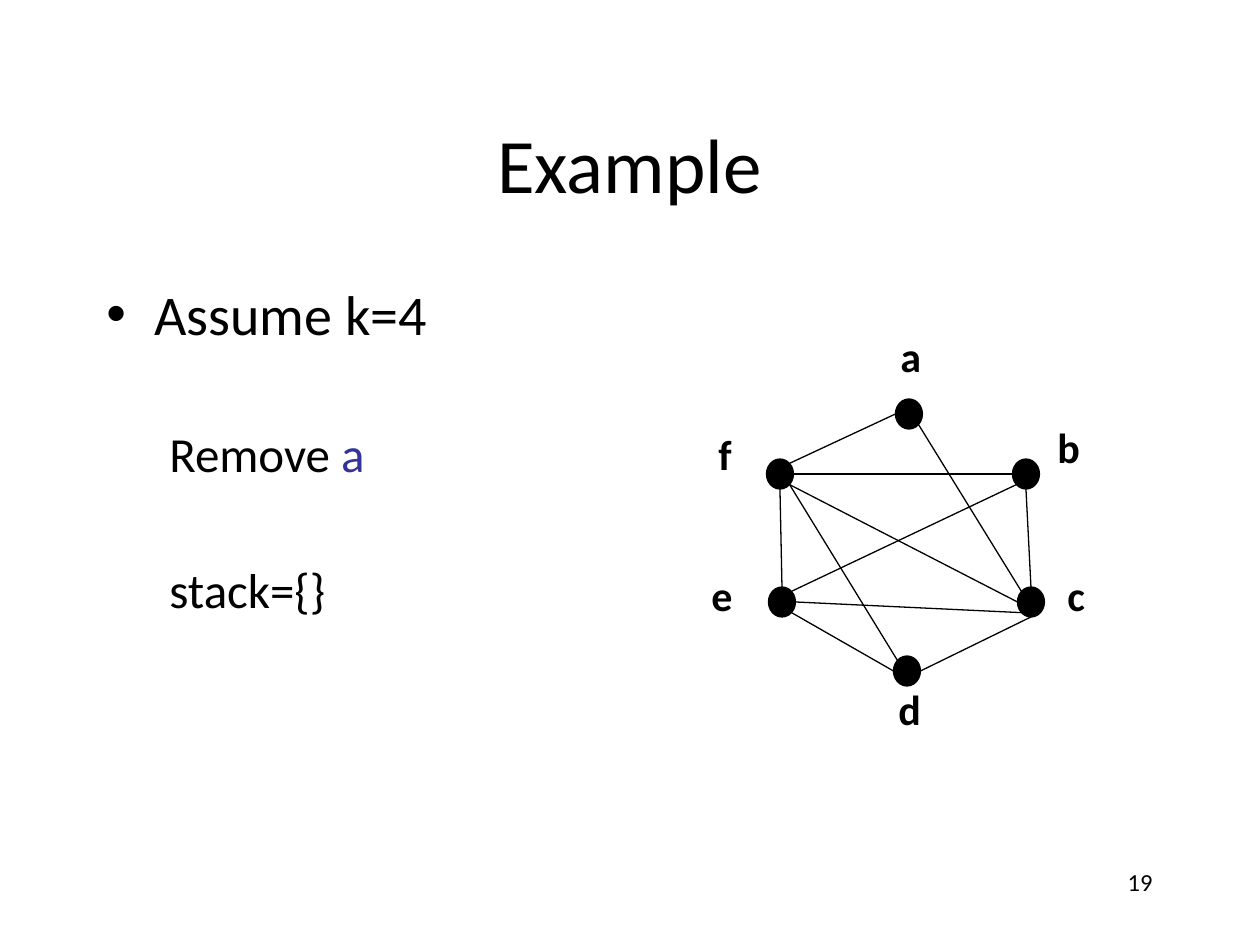
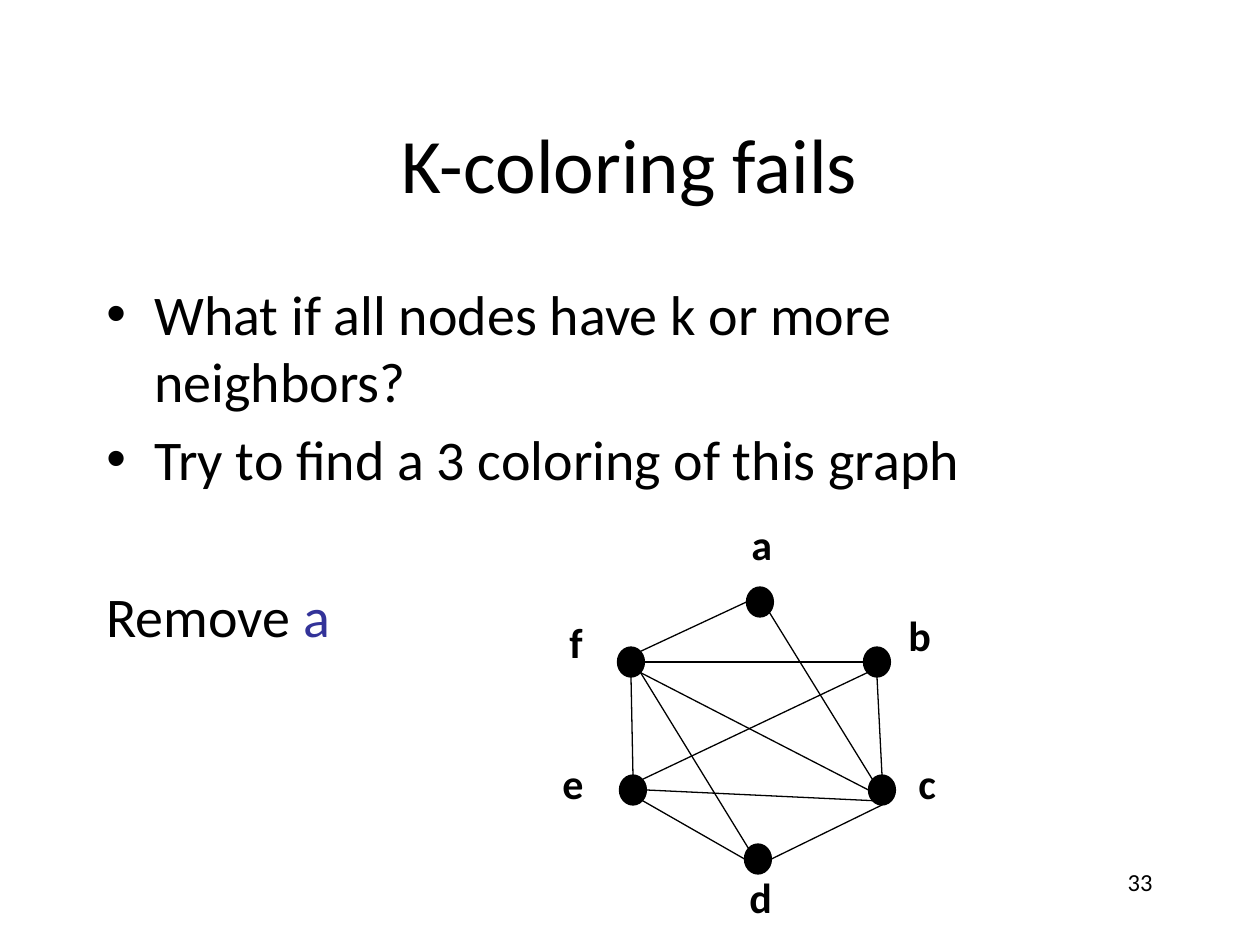
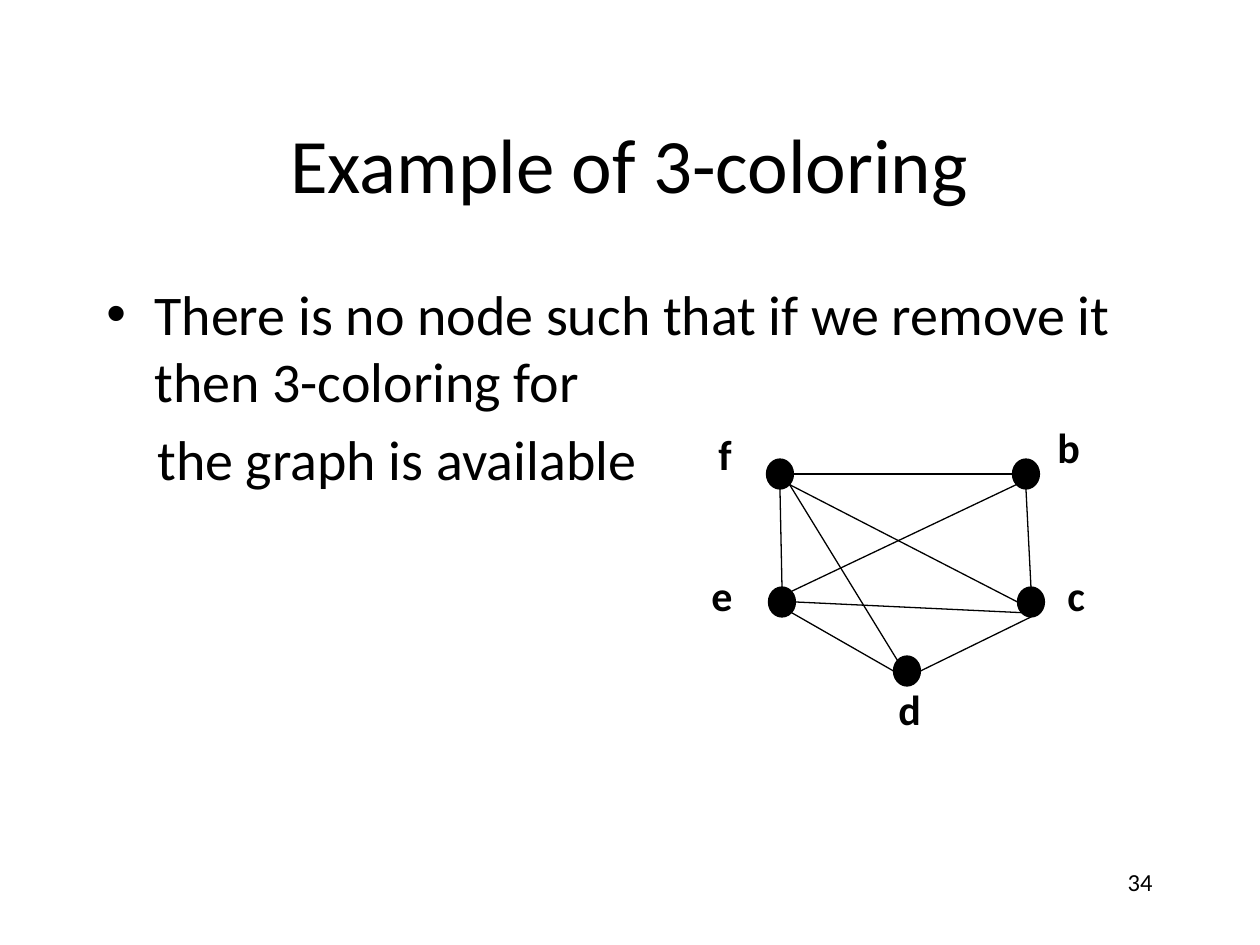
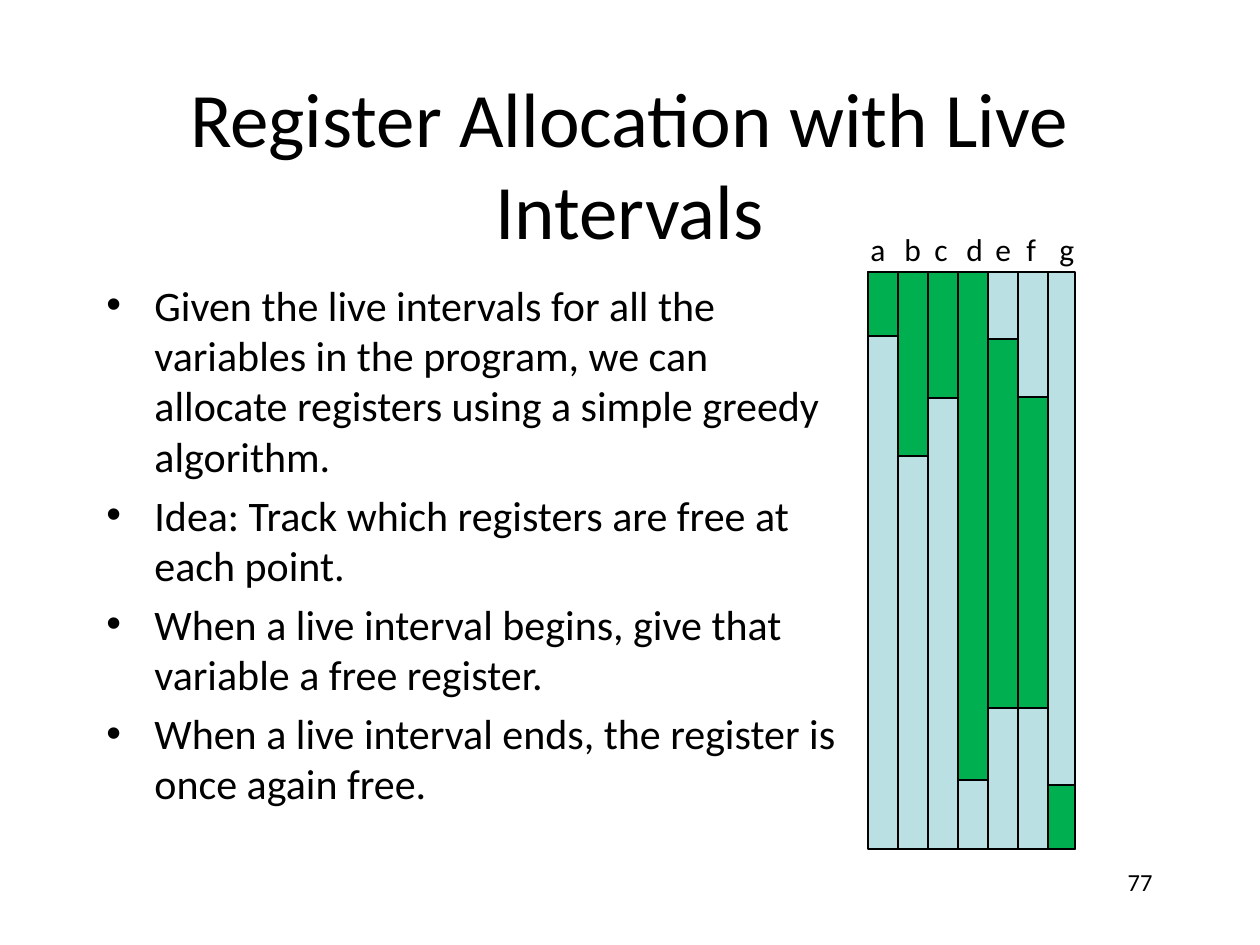
from dataclasses import dataclass

from lxml.etree import SubElement
from pptx import Presentation
from pptx.dml.color import RGBColor
from pptx.enum.shapes import MSO_CONNECTOR as Connector, MSO_SHAPE as Shape
from pptx.enum.text import MSO_ANCHOR as Anchor, MSO_AUTO_SIZE as AutoSize, PP_ALIGN as Align
from pptx.oxml.ns import qn
from pptx.util import Emu, Pt

PX = 914400 / 126
TITLE_ONLY = 5


@dataclass(frozen=True)
class Theme:
    font: str = "Calibri"
    ink: RGBColor = RGBColor(0x00, 0x00, 0x00)
    accent: RGBColor = RGBColor(0x33, 0x33, 0x99)
    lifetime: RGBColor = RGBColor(0xBB, 0xE0, 0xE3)
    live: RGBColor = RGBColor(0x00, 0xB0, 0x50)
    title: int = 44
    body: int = 32
    step: int = 28
    small: int = 24
    column: int = 18
    number: int = 14
    line: float = 0.75


THEME = Theme()


@dataclass(frozen=True)
class Item:
    """One body paragraph; accent is a closing span in the accent colour."""
    text: str
    accent: str = ""
    size: int = THEME.body
    bullet: bool = True
    indent: int = 48
    before: float = 0


@dataclass(frozen=True)
class Node:
    center: tuple
    label_offset: tuple
    label_width: int


NODE_WIDTH, NODE_HEIGHT = 27, 30
NODES = {
    "a": Node((909, 414), (-21, -90), 68),
    "b": Node((1026, 474), (19, -59), 108),
    "c": Node((1031, 602), (24, -39), 127),
    "d": Node((907, 671), (-21, 6), 127),
    "f": Node((780, 474), (-74, -52), 116),
    "e": Node((782, 602), (-83, -39), 106),
}

# Points on a node's rim, as fractions of its half width and half height.
DIAGONAL = 0.71
SITES = {
    "top": (0, -1), "bottom": (0, 1), "left": (-1, 0), "right": (1, 0),
    "top left": (-DIAGONAL, -DIAGONAL), "top right": (DIAGONAL, -DIAGONAL),
    "bottom left": (-DIAGONAL, DIAGONAL), "bottom right": (DIAGONAL, DIAGONAL),
}
EDGES = [
    ("a", "left", "f", "top right"),
    ("e", "top", "f", "bottom"),
    ("d", "top left", "f", "bottom right"),
    ("d", "left", "e", "bottom right"),
    ("a", "bottom right", "c", "top left"),
    ("b", "left", "f", "right"),
    ("c", "left", "f", "bottom right"),
    ("b", "bottom", "c", "top"),
    ("c", "bottom left", "e", "right"),
    ("c", "bottom", "d", "right"),
    ("b", "bottom left", "e", "top right"),
]

# Variable, label left, live interval top and height.
INTERVALS = [
    ("a", 858, 272, 64),
    ("b", 892, 272, 184),
    ("c", 922, 272, 126),
    ("d", 954, 272, 508),
    ("e", 983, 339, 369),
    ("f", 1014, 397, 311),
    ("g", 1047, 785, 64),
]


def px(*lengths):
    return [Emu(round(length * PX)) for length in lengths]


def assign(target, values):
    for name, value in values.items():
        setattr(target, name, value)


def add_span(para, text, size, color=THEME.ink, bold=False):
    span = para.add_run()
    span.text = text
    assign(span.font, {"name": THEME.font, "size": Pt(size), "bold": bold})
    span.font.color.rgb = color


def add_box(shapes, left, top, width, height):
    box = shapes.add_textbox(*px(left, top, width, height))
    box.text_frame.word_wrap = True
    return box.text_frame


def add_label(shapes, text, place, size, bold=False, align=Align.LEFT):
    para = add_box(shapes, *place).paragraphs[0]
    para.alignment = align
    add_span(para, text, size, bold=bold)


def add_filled(shapes, kind, place, color):
    shape = shapes.add_shape(kind, *px(*place))
    shape.shadow.inherit = False
    shape.fill.solid()
    shape.fill.fore_color.rgb = color
    shape.line.color.rgb = THEME.ink
    shape.line.width = Pt(THEME.line)


def add_edge(shapes, start, end):
    edge = shapes.add_connector(Connector.STRAIGHT, *px(*start, *end))
    edge.line.color.rgb = THEME.ink
    edge.line.width = Pt(THEME.line)
    SubElement(edge._element.spPr, qn("a:effectLst"))


def add_page(deck, title, number):
    page = deck.slides.add_slide(deck.slide_layouts[TITLE_ONLY])
    left, top, width, height = px(94, 84, 1071, 158)
    heading = page.shapes.title
    assign(heading, {"left": left, "top": top, "width": width, "height": height})
    assign(heading.text_frame, {"word_wrap": True, "auto_size": AutoSize.NONE,
                                "vertical_anchor": Anchor.MIDDLE})
    para = heading.text_frame.paragraphs[0]
    para.alignment = Align.CENTER
    add_span(para, title, THEME.title)
    add_label(page.shapes, str(number), (903, 861, 262, 63), THEME.number, align=Align.RIGHT)
    return page


def add_body(page, items, width=1071):
    frame = add_box(page.shapes, 94, 273, width, 567)
    for index, item in enumerate(items):
        para = frame.add_paragraph() if index else frame.paragraphs[0]
        indent, = px(item.indent)
        properties = para._p.get_or_add_pPr()
        properties.set("marL", str(indent))
        properties.set("indent", str(-indent if item.bullet else 0))
        if item.bullet:
            SubElement(properties, qn("a:buFont"), typeface="Arial")
            SubElement(properties, qn("a:buChar"), char="•")
        if index:
            para.space_before = Pt(item.before or item.size * 0.2)
        add_span(para, item.text, item.size)
        if item.accent:
            add_span(para, item.accent, item.size, THEME.accent)


def add_graph(page, names="abcdfe", shift=(0, 0)):
    """Draw the named nodes and every edge that joins two of them."""
    def moved(name, dx, dy):
        x, y = NODES[name].center
        return x + dx + shift[0], y + dy + shift[1]

    def rim(name, site):
        across, down = SITES[site]
        return moved(name, across * NODE_WIDTH / 2, down * NODE_HEIGHT / 2)

    for name in names:
        node = NODES[name]
        group = page.shapes.add_group_shape()
        corner = moved(name, -NODE_WIDTH / 2, -NODE_HEIGHT / 2)
        add_filled(group.shapes, Shape.OVAL, (*corner, NODE_WIDTH, NODE_HEIGHT), THEME.ink)
        place = (*moved(name, *node.label_offset), node.label_width, 63)
        add_label(group.shapes, name, place, THEME.small, bold=True)
    for first, first_site, second, second_site in EDGES:
        if first in names and second in names:
            add_edge(page.shapes, rim(first, first_site), rim(second, second_site))


def add_intervals(page):
    pitch = 30
    for index, (variable, label_left, live_top, live_height) in enumerate(INTERVALS):
        left = 868 + index * pitch
        width = 27 if variable == "g" else pitch
        add_filled(page.shapes, Shape.RECTANGLE, (left, 272, width, 577), THEME.lifetime)
        add_filled(page.shapes, Shape.RECTANGLE, (left, live_top, width, live_height), THEME.live)
        add_label(page.shapes, variable, (label_left, 224, 59, 50), THEME.column)


def main():
    deck = Presentation()
    deck.slide_width, deck.slide_height = px(1260, 945)

    page = add_page(deck, "Example", 19)
    step = {"size": THEME.step, "bullet": False, "indent": 63, "before": 44}
    add_body(page, [Item("Assume k=4"), Item("Remove ", "a", **step), Item("stack={}", **step)])
    add_graph(page)

    page = add_page(deck, "K-coloring fails", 33)
    add_body(page, [
        Item("What if all nodes have k or more neighbors?"),
        Item("Try to find a 3 coloring of this graph"),
        Item("Remove ", "a", bullet=False, indent=0, before=51),
    ])
    add_graph(page, shift=(-149, 188))

    page = add_page(deck, "Example of 3-coloring", 34)
    add_body(page, [
        Item("There is no node such that if we remove it then 3-coloring for"),
        Item("the graph is available", bullet=False, indent=51),
    ])
    add_graph(page, "bcdfe")

    page = add_page(deck, "Register Allocation with Live Intervals", 77)
    add_body(page, [Item(text, size=THEME.small) for text in (
        "Given the live intervals for all the variables in the program, we can "
        "allocate registers using a simple greedy algorithm.",
        "Idea: Track which registers are free at each point.",
        "When a live interval begins, give that variable a free register.",
        "When a live interval ends, the register is once again free.",
    )], width=764)
    add_intervals(page)

    deck.save("out.pptx")


if __name__ == "__main__":
    main()
